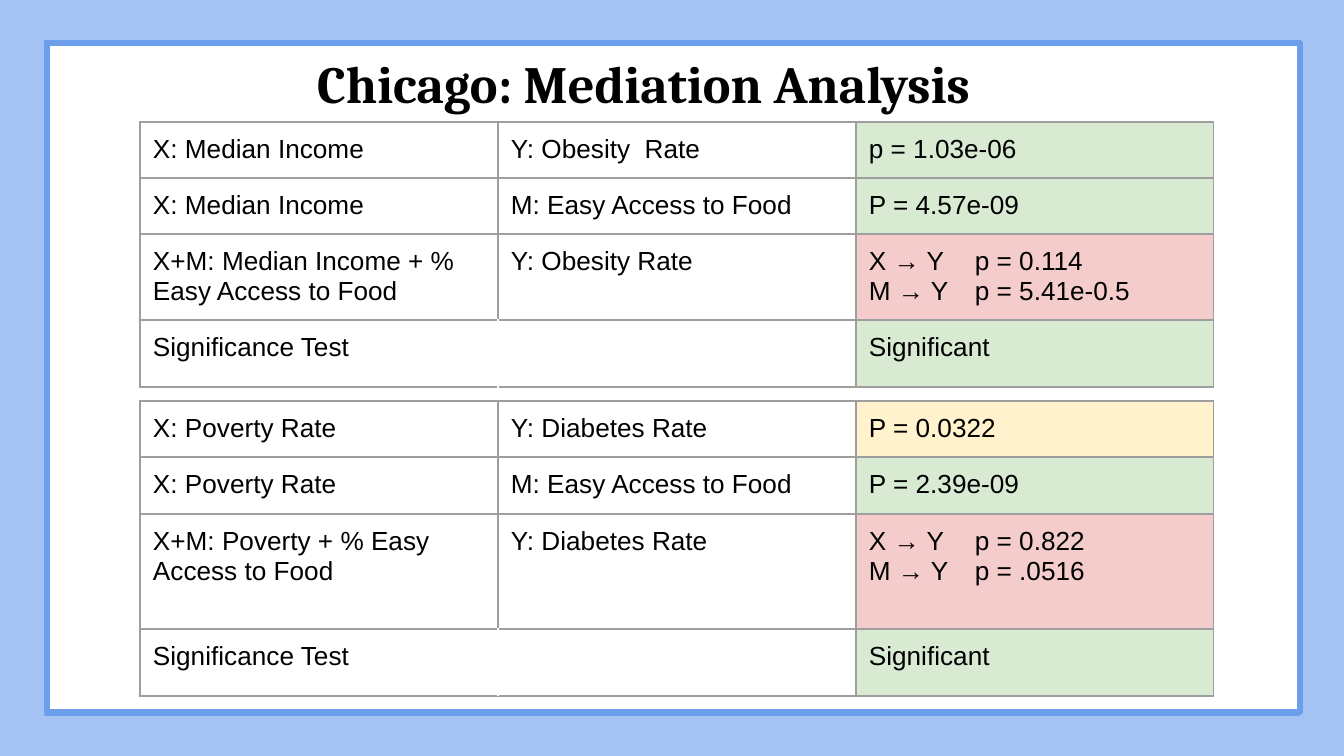
from lxml.etree import SubElement
from pptx import Presentation
from pptx.dml.color import RGBColor
from pptx.enum.shapes import MSO_SHAPE
from pptx.enum.text import MSO_ANCHOR, MSO_AUTO_SIZE, PP_ALIGN
from pptx.oxml.ns import qn
from pptx.util import Emu, Pt

COLORS = {
    "background": "A4C2F4",
    "frame": "6D9EEB",
    "white": "FFFFFF",
    "text": "000000",
    "border": "9E9E9E",
    "green": "D9EAD3",
    "red": "F4CCCC",
    "yellow": "FFF2CC",
}
PX_PER_INCH = 134.4
INSET = 13
COLUMN_WIDTH = 358
TABLE_LEFT = 140
RESULT_TAB = 106

INCOME_ROWS = [
    (56, ["X: Median Income", "Y: Obesity  Rate", "p = 1.03e-06"], "green"),
    (56, ["X: Median Income", "M: Easy Access to Food", "P = 4.57e-09"], "green"),
    (86, ["X+M: Median Income + % Easy Access to Food", "Y: Obesity Rate",
          "X → Y\tp = 0.114\nM → Y\tp = 5.41e-0.5"], "red"),
    (64, ["Significance Test", "", "Significant"], "green"),
]
POVERTY_ROWS = [
    (56, ["X: Poverty Rate", "Y: Diabetes Rate", "P = 0.0322"], "yellow"),
    (57, ["X: Poverty Rate", "M: Easy Access to Food", "P = 2.39e-09"], "green"),
    (115, ["X+M: Poverty + % Easy Access to Food", "Y: Diabetes Rate",
           "X → Y\tp = 0.822\nM → Y\tp = .0516"], "red"),
    (64, ["Significance Test", "", "Significant"], "green"),
]


def px(length):
    """Turn pixels into EMU."""
    return Emu(round(length * 914400 / PX_PER_INCH))


def color(name):
    """Look up a named colour."""
    return RGBColor.from_string(COLORS[name])


def add_run(paragraph, text, font_name, size, bold=False):
    """Append a formatted run to a paragraph."""
    run = paragraph.add_run()
    run.text = text
    run.font.name = font_name
    run.font.size = Pt(size)
    run.font.bold = bold
    run.font.color.rgb = color("text")


def set_margins(target):
    """Give a text frame or a cell equal insets."""
    target.margin_left = target.margin_right = px(INSET)
    target.margin_top = target.margin_bottom = px(INSET)


def add_frame(slide, left, top, width, height, line_width, fill=None):
    """Add an outlined rectangle."""
    shape = slide.shapes.add_shape(
        MSO_SHAPE.RECTANGLE, px(left), px(top), px(width), px(height))
    shape.shadow.inherit = False
    shape.line.color.rgb = color("frame")
    shape.line.width = Pt(line_width)
    if fill:
        shape.fill.solid()
        shape.fill.fore_color.rgb = color(fill)
    else:
        shape.fill.background()


def set_title(slide, text):
    """Place the title placeholder in front and fill it."""
    title = slide.shapes.title
    title.element.getparent().append(title.element)
    title.left, title.top, title.width, title.height = map(px, (304, 38, 736, 84))
    frame = title.text_frame
    frame.word_wrap = True
    frame.auto_size = MSO_AUTO_SIZE.NONE
    frame.vertical_anchor = MSO_ANCHOR.TOP
    set_margins(frame)
    paragraph = frame.paragraphs[0]
    paragraph.alignment = PP_ALIGN.LEFT
    add_run(paragraph, text, "Cambria", 28, bold=True)


def set_borders(cell, hidden_side=None):
    """Draw the four cell borders, with a white one on the hidden side."""
    properties = cell._tc.get_or_add_tcPr()
    for side in "LRTB":
        line = SubElement(properties, qn(f"a:ln{side}"), w=str(Pt(0.75)))
        fill = SubElement(line, qn("a:solidFill"))
        name = "white" if side == hidden_side else "border"
        SubElement(fill, qn("a:srgbClr"), val=COLORS[name])


def add_tab_stop(paragraph):
    """Line up the p values of a two-part result."""
    stops = SubElement(paragraph._p.get_or_add_pPr(), qn("a:tabLst"))
    SubElement(stops, qn("a:tab"), pos=str(px(RESULT_TAB)), algn="l")


def fill_cell(cell, text, fill=None, hidden_side=None):
    """Write and format one table cell."""
    set_margins(cell)
    set_borders(cell, hidden_side)
    if fill:
        cell.fill.solid()
        cell.fill.fore_color.rgb = color(fill)
    else:
        cell.fill.background()
    for index, line in enumerate(text.splitlines()):
        frame = cell.text_frame
        paragraph = frame.add_paragraph() if index else frame.paragraphs[0]
        if "\t" in line:
            add_tab_stop(paragraph)
        add_run(paragraph, line, "Arial", 14)


def add_mediation_table(slide, top, rows):
    """Add a three-column table with a coloured result column."""
    height = sum(row[0] for row in rows)
    table = slide.shapes.add_table(
        len(rows), 3, px(TABLE_LEFT), px(top), px(3 * COLUMN_WIDTH), px(height)).table
    table.first_row = table.horz_banding = False
    for column in table.columns:
        column.width = px(COLUMN_WIDTH)
    for row_index, (row_height, texts, result_fill) in enumerate(rows):
        table.rows[row_index].height = px(row_height)
        open_sides = (None, None, None) if texts[1] else ("R", "L", None)
        fills = (None, None, result_fill)
        for column_index, values in enumerate(zip(texts, fills, open_sides)):
            fill_cell(table.cell(row_index, column_index), *values)


def main():
    """Build and save the slide."""
    presentation = Presentation()
    presentation.slide_width, presentation.slide_height = px(1344), px(756)
    slide = presentation.slides.add_slide(presentation.slide_layouts[5])
    slide.background.fill.solid()
    slide.background.fill.fore_color.rgb = color("background")
    add_frame(slide, 46, 42, 1253, 672, 2.25)
    add_frame(slide, 47, 43, 1253, 669, 3, "white")
    set_title(slide, "Chicago: Mediation Analysis")
    add_mediation_table(slide, 401, POVERTY_ROWS)
    add_mediation_table(slide, 122, INCOME_ROWS)
    presentation.save("out.pptx")


if __name__ == "__main__":
    main()
